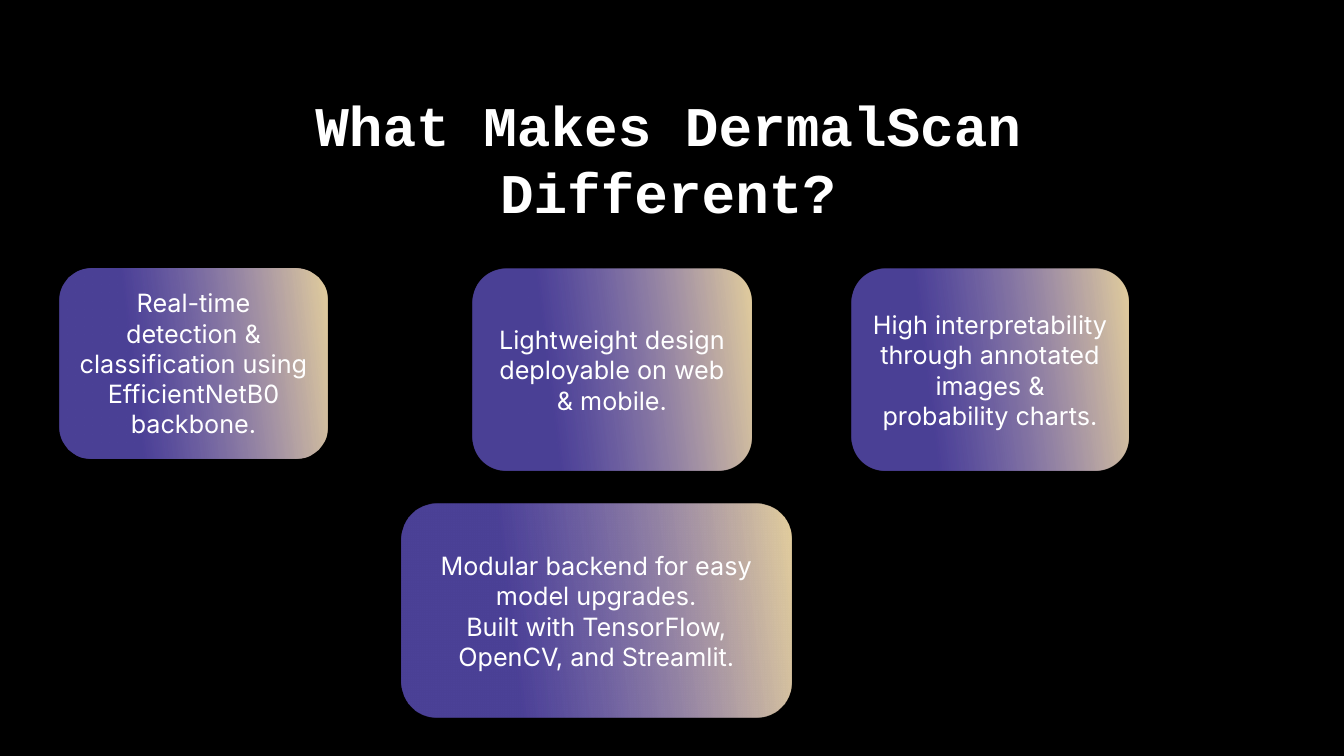
from lxml import etree
from pptx import Presentation
from pptx import util as u
from pptx.dml.color import RGBColor
from pptx.enum import shapes, text
from pptx.oxml.ns import qn

COLORS = {"background": "000000", "text": "FFFFFF", "sand": "E4CF9D", "violet": "806DFF"}
CARDS = [
    (0.59, 2.66, 2.66, 1.89, ["Real-time detection & classification using EfficientNetB0 backbone."]),
    (4.69, 2.67, 2.76, 2, ["Lightweight design deployable on web & mobile."]),
    (8.45, 2.67, 2.74, 2, ["High interpretability through annotated images & probability charts."]),
    (3.98, 5, 3.87, 2.12, ["Modular backend for easy model upgrades.",
                           "Built with TensorFlow, OpenCV, and Streamlit."]),
]


def rgb(name):
    return RGBColor.from_string(COLORS[name])


def write(tf, lines, font, size, bold=False):
    tf.word_wrap = True
    tf.vertical_anchor = text.MSO_ANCHOR.MIDDLE
    for i, line in enumerate(lines):
        p = tf.add_paragraph() if i else tf.paragraphs[0]
        p.text = line
        p.alignment = text.PP_ALIGN.CENTER
        p.font.name, p.font.size, p.font.bold = font, u.Pt(size), bold
        p.font.color.rgb = rgb("text")


prs = Presentation()
prs.slide_width, prs.slide_height = u.Inches(13.33), u.Inches(7.5)
s = prs.slides.add_slide(prs.slide_layouts[6])
s.background.fill.solid()
s.background.fill.fore_color.rgb = rgb("background")

title = s.shapes.add_textbox(*map(u.Inches, (2.72, 0.84, 7.81, 1.39)))
title.text_frame.margin_bottom = 0
write(title.text_frame, ["What Makes DermalScan Different?"], "Courier New", 40, True)

for *box, lines in CARDS:
    sp = s.shapes.add_shape(shapes.MSO_SHAPE.ROUNDED_RECTANGLE, *map(u.Inches, box))
    sp.shadow.inherit = False
    sp.line.fill.background()
    sp.fill.gradient()
    sp.fill.gradient_angle = 360 - 173  # python-pptx counts counter-clockwise
    sand, violet = sp.fill.gradient_stops
    sand.position, sand.color.rgb = 0, rgb("sand")
    violet.position, violet.color.rgb = 0.71, rgb("violet")
    violet_clr = sp.element.spPr.findall(".//" + qn("a:srgbClr"))[-1]
    etree.SubElement(violet_clr, qn("a:alpha"), val="59000")
    write(sp.text_frame, lines, "Inter", 18)

prs.save("out.pptx")
